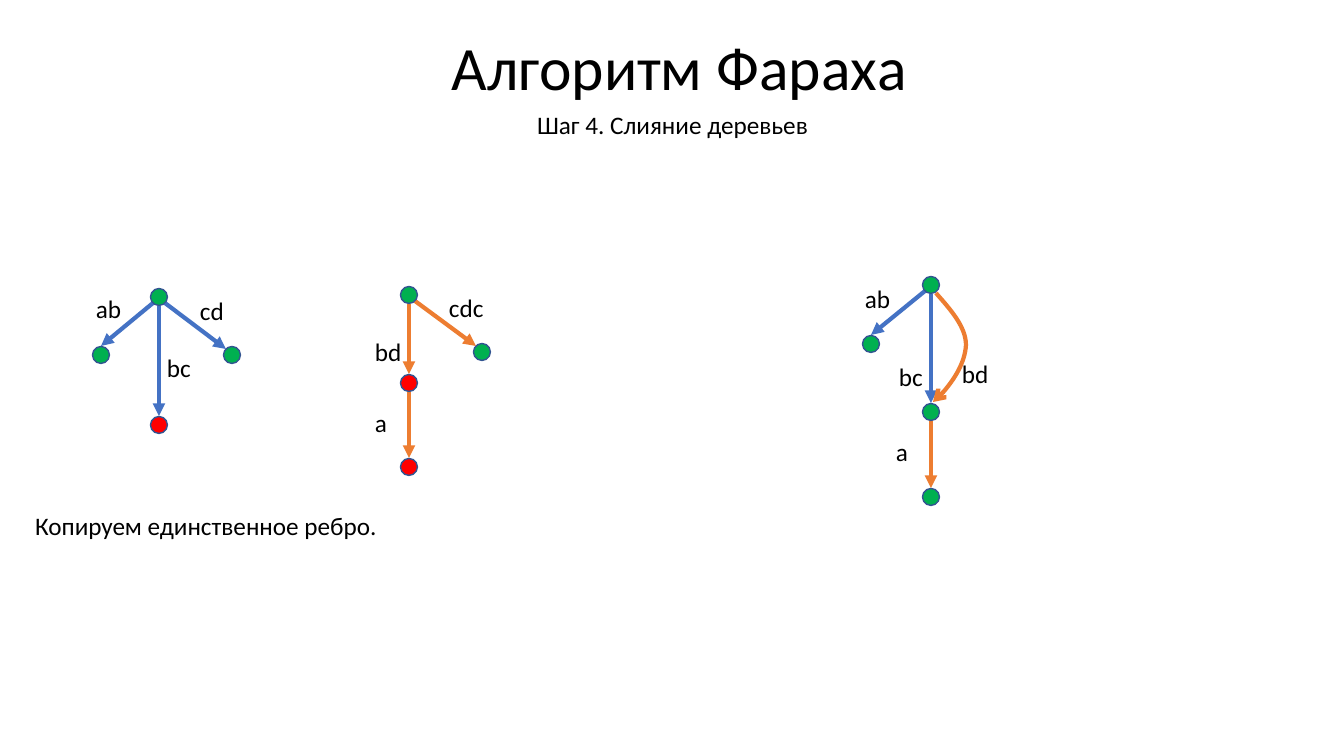
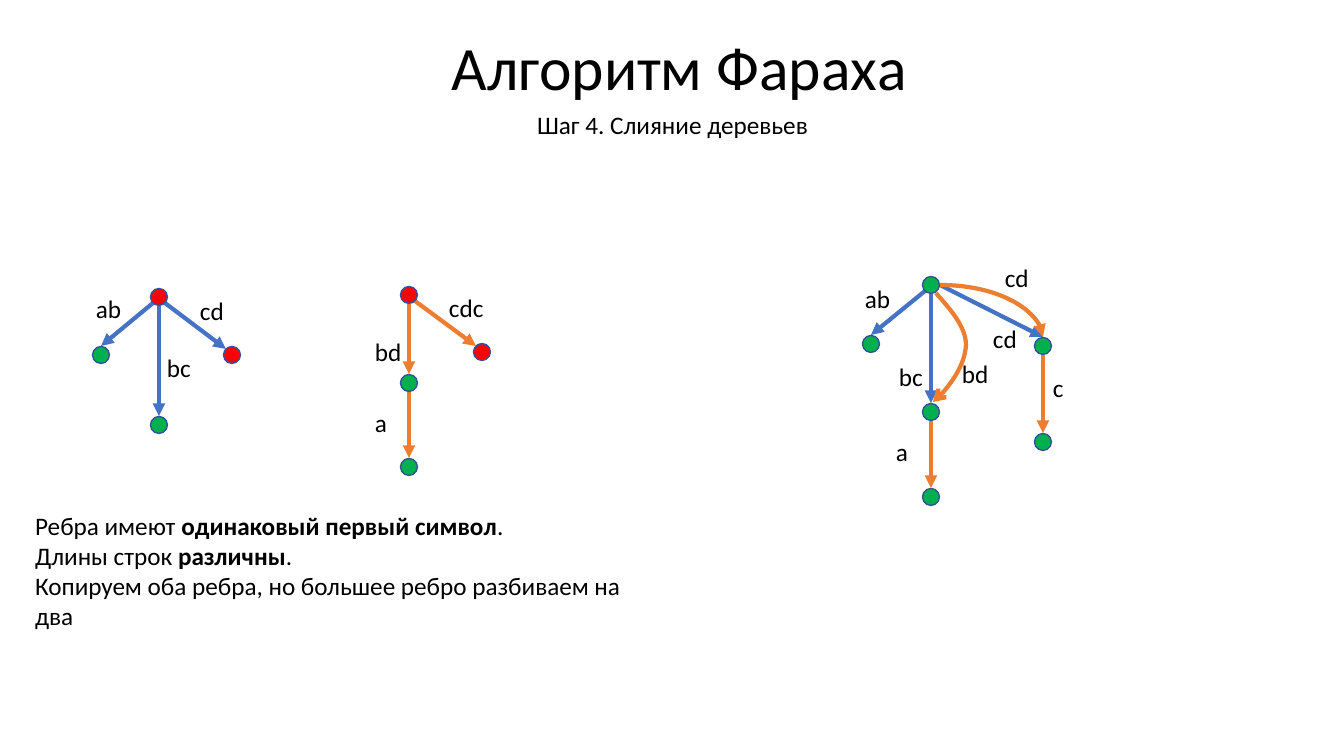
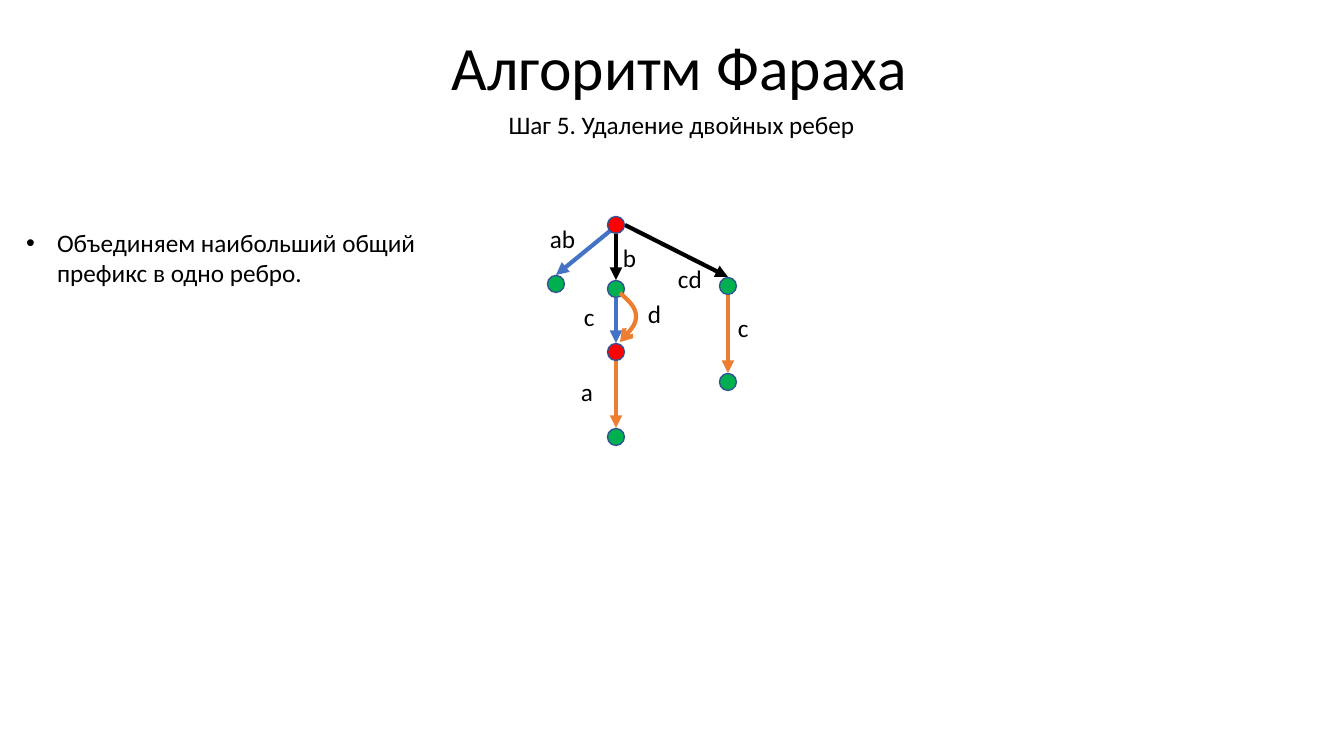
from dataclasses import dataclass
from typing import NamedTuple

from lxml import etree
from pptx import Presentation
from pptx import util as u
from pptx.dml.color import RGBColor
from pptx.enum import shapes, text
from pptx.oxml.ns import qn
from pptx.shapes.shapetree import GroupShapes
from pptx.slide import Slide
from pptx.text.text import TextFrame

# Scale: 100.8 pixels to the inch
UNIT = 914400 / 100.8


def px(n: float) -> u.Emu:
    return u.Emu(round(n * UNIT))


# Theme
@dataclass(frozen=True)
class Theme:
    font: str = "Calibri"
    black: str = "000000"
    blue: str = "4472C4"
    amber: str = "ED7D31"
    green: str = "00B050"
    red: str = "FF0000"
    rim: str = "325491"
    head: int = 44
    body: int = 18
    edge: int = 3
    thin: int = 1


T = Theme()
DOT = 17  # node diameter
ROW = 40  # height of a one-line text box
SITES = {"n": (0, -9), "s": (0, 9), "e": (9, 0),
         "sw": (-6, 6), "se": (6, 6), "nw": (-6, -6)}


# Parts of a tree, measured from the centre of its root
class Node(NamedTuple):
    name: str
    x: int
    y: int


class Edge(NamedTuple):
    src: str
    out: str
    dst: str
    into: str
    color: str
    curved: bool = False


class Tag(NamedTuple):
    text: str
    x: int
    y: int
    w: int = 48


Bend = tuple[tuple[int, int], ...]  # start, then three points per Bezier arc


@dataclass(frozen=True)
class Tree:
    nodes: tuple[Node, ...] = ()
    edges: tuple[Edge, ...] = ()
    tags: tuple[Tag, ...] = ()
    bends: tuple[Bend, ...] = ()


class Place(NamedTuple):
    tree: Tree
    x: int
    y: int
    red: tuple[str, ...] = ()


class Run(NamedTuple):
    text: str
    bold: bool = False


class Box(NamedTuple):
    x: int
    y: int
    w: int
    h: int


@dataclass(frozen=True)
class Page:
    step: str
    span: Box
    note: tuple[tuple[Run, ...], ...]
    area: Box
    places: tuple[Place, ...]
    listed: bool = False


def join(*trees: Tree) -> Tree:
    return Tree(sum((t.nodes for t in trees), ()),
                sum((t.edges for t in trees), ()),
                sum((t.tags for t in trees), ()),
                sum((t.bends for t in trees), ()))


# Source trees
ROOT = Node("root", 0, 0)
EVEN = Tree(
    (ROOT, Node("left", -58, 58), Node("mid", 0, 128), Node("right", 73, 58)),
    (Edge("root", "sw", "left", "n", T.blue),
     Edge("root", "s", "mid", "n", T.blue),
     Edge("root", "se", "right", "nw", T.blue)),
    (Tag("ab", -73, -9), Tag("bc", -2, 50), Tag("cd", 31, -7)))
ODD = Tree(
    (ROOT, Node("mid", 0, 88), Node("low", 0, 172), Node("right", 73, 57)),
    (Edge("root", "s", "mid", "n", T.amber),
     Edge("mid", "s", "low", "n", T.amber),
     Edge("root", "se", "right", "nw", T.amber)),
    (Tag("bd", -44, 36, 69), Tag("cdc", 30, -8, 69), Tag("a", -44, 107, 69)))

# Pieces of the merged tree
BASE = Tree(
    (ROOT, Node("left", -60, 59), Node("mid", 0, 127), Node("low", 0, 212)),
    (Edge("root", "sw", "left", "n", T.blue),
     Edge("mid", "s", "low", "n", T.amber)),
    (Tag("ab", -76, -7), Tag("a", -45, 146, 69)))
PAIR = Tree(
    edges=(Edge("root", "s", "mid", "n", T.blue),),
    tags=(Tag("bc", -42, 71), Tag("bd", 21, 68)),
    bends=(((5, 8), (20, 25), (35, 42), (35, 60),
            (34, 78), (16, 107), (2, 117)),))
SIDE = Tree(
    (Node("right", 112, 61), Node("tip", 112, 157)),
    (Edge("right", "s", "tip", "n", T.amber),),
    (Tag("cd", 52, 33), Tag("c", 112, 82)))
TWIN = Tree(
    edges=(Edge("root", "e", "right", "n", T.blue),
           Edge("root", "e", "right", "n", T.amber, True)),
    tags=(Tag("cd", 64, -28),))
FORK = Tree(
    (Node("fork", 0, 64),),
    (Edge("root", "e", "right", "n", T.black),
     Edge("root", "s", "fork", "n", T.black),
     Edge("fork", "s", "mid", "n", T.blue)),
    (Tag("c", -42, 71), Tag("d", 22, 68), Tag("b", -3, 12)),
    (((4, 68), (12, 75), (20, 82), (20, 91),
      (20, 99), (10, 112), (4, 117)),))


# Drawing
def add_run(par, run: Run, size: int) -> None:
    r = par.add_run()
    r.text = run.text
    r.font.name, r.font.size, r.font.bold = T.font, u.Pt(size), run.bold
    r.font.color.rgb = RGBColor.from_string(T.black)


def set_box(shape, box: Box) -> TextFrame:
    shape.left, shape.top, shape.width, shape.height = map(px, box)
    frame = shape.text_frame
    frame.word_wrap = True
    frame.auto_size = text.MSO_AUTO_SIZE.NONE
    return frame


def add_text(pool, box: Box, words: str, align=text.PP_ALIGN.LEFT) -> None:
    frame = set_box(pool.add_textbox(0, 0, 0, 0), box)
    par = frame.paragraphs[0]
    par.alignment = align
    add_run(par, Run(words), T.body)


def set_line(shape, color: str, head: str) -> None:
    shape.line.color.rgb = RGBColor.from_string(color)
    shape.line.width = u.Pt(T.edge)
    ln = shape.element.spPr.find(qn("a:ln"))
    etree.SubElement(ln, qn("a:tailEnd"), type=head)


def add_edge(pool: GroupShapes, edge: Edge, spots: dict, at: Place) -> None:
    ends = []
    for name, site in ((edge.src, edge.out), (edge.dst, edge.into)):
        node, (dx, dy) = spots[name], SITES[site]
        ends += [px(at.x + node.x + dx), px(at.y + node.y + dy)]
    kind = shapes.MSO_CONNECTOR
    line = pool.add_connector(
        kind.CURVE if edge.curved else kind.STRAIGHT, *ends)
    set_line(line, edge.color, "triangle")
    props = line.element.spPr
    etree.SubElement(props, qn("a:effectLst"))
    if edge.curved:
        props.find(qn("a:prstGeom")).set("prst", "curvedConnector2")


def add_bend(pool: GroupShapes, bend: Bend, at: Place) -> None:
    pts = [(at.x + x, at.y + y) for x, y in bend]
    pen = pool.build_freeform(*pts[0], scale=UNIT)
    pen.add_line_segments(pts[1:], close=False)
    curve = pen.convert_to_shape()
    curve.shadow.inherit = False
    curve.fill.background()
    set_line(curve, T.amber, "arrow")
    # Turn each three segments into one Bezier arc
    route = next(curve.element.iter(qn("a:path")))
    legs = route.findall(qn("a:lnTo"))
    for i in range(0, len(legs), 3):
        arc = etree.SubElement(route, qn("a:cubicBezTo"))
        for leg in legs[i:i + 3]:
            arc.append(leg[0])
            route.remove(leg)


def add_node(pool: GroupShapes, node: Node, at: Place) -> None:
    dot = pool.add_shape(
        shapes.MSO_SHAPE.OVAL, px(at.x + node.x - DOT / 2),
        px(at.y + node.y - DOT / 2), px(DOT), px(DOT))
    dot.shadow.inherit = False
    dot.fill.solid()
    fill = T.red if node.name in at.red else T.green
    dot.fill.fore_color.rgb = RGBColor.from_string(fill)
    dot.line.color.rgb = RGBColor.from_string(T.rim)
    dot.line.width = u.Pt(T.thin)


def add_tree(slide: Slide, at: Place) -> None:
    pool = slide.shapes.add_group_shape().shapes
    spots = {node.name: node for node in at.tree.nodes}
    for edge in at.tree.edges:
        add_edge(pool, edge, spots, at)
    for node in at.tree.nodes:
        add_node(pool, node, at)
    for bend in at.tree.bends:
        add_bend(pool, bend, at)
    for tag in at.tree.tags:
        add_text(pool, Box(at.x + tag.x, at.y + tag.y, tag.w, ROW), tag.text)


def add_title(slide: Slide) -> None:
    frame = set_box(slide.shapes.title, Box(93, -2, 1159, 146))
    frame.vertical_anchor = text.MSO_ANCHOR.MIDDLE
    par = frame.paragraphs[0]
    par.alignment = text.PP_ALIGN.CENTER
    par.line_spacing = 0.9
    add_run(par, Run(" Алгоритм Фараха"), T.head)


def add_note(slide: Slide, page: Page) -> None:
    frame = set_box(slide.placeholders[1], page.area)
    anchor = text.MSO_ANCHOR
    frame.vertical_anchor = anchor.BOTTOM if page.listed else anchor.TOP
    hang = px(31) if page.listed else 0
    for i, runs in enumerate(page.note):
        par = frame.add_paragraph() if i else frame.paragraphs[0]
        par.space_before = u.Pt(0)
        props = par._p.get_or_add_pPr()
        props.set("marL", str(hang))
        props.set("indent", str(-hang))
        if not page.listed:
            etree.SubElement(props, qn("a:buNone"))
        for run in runs:
            add_run(par, run, T.body)


# Pages
MERGE = "Шаг 4. Слияние деревьев"
MIDDLE = Box(492, 104, 361, ROW)
PAGES = (
    Page(MERGE, MIDDLE,
         ((Run("Копируем единственное ребро."),),),
         Box(25, 505, 642, ROW),
         (Place(EVEN, 159, 297, ("mid",)),
          Place(ODD, 409, 295, ("mid", "low")),
          Place(join(BASE, PAIR), 931, 285))),
    Page(MERGE, MIDDLE,
         ((Run("Ребра имеют "), Run("одинаковый первый символ", True),
           Run(".")),
          (Run("Длины строк "), Run("различны", True), Run(".")),
          (Run("Копируем оба ребра, но большее ребро разбиваем на два"),)),
         Box(25, 505, 642, 132),
         (Place(EVEN, 159, 297, ("root", "right")),
          Place(ODD, 409, 295, ("root", "right")),
          Place(join(BASE, PAIR, SIDE, TWIN), 931, 285))),
    Page("Шаг 5. Удаление двойных ребер", Box(483, 104, 397, ROW),
         ((Run("Объединяем наибольший общий префикс в одно ребро."),),),
         Box(16, 161, 437, 132),
         (Place(join(BASE, SIDE, FORK), 616, 225, ("root", "mid")),),
         listed=True),
)


def main() -> None:
    deck = Presentation()
    deck.slide_width, deck.slide_height = px(1344), px(756)
    for page in PAGES:
        slide = deck.slides.add_slide(deck.slide_layouts[1])
        add_title(slide)
        add_text(slide.shapes, page.span, page.step, text.PP_ALIGN.CENTER)
        add_note(slide, page)
        for place in page.places:
            add_tree(slide, place)
    deck.save("out.pptx")


main()
